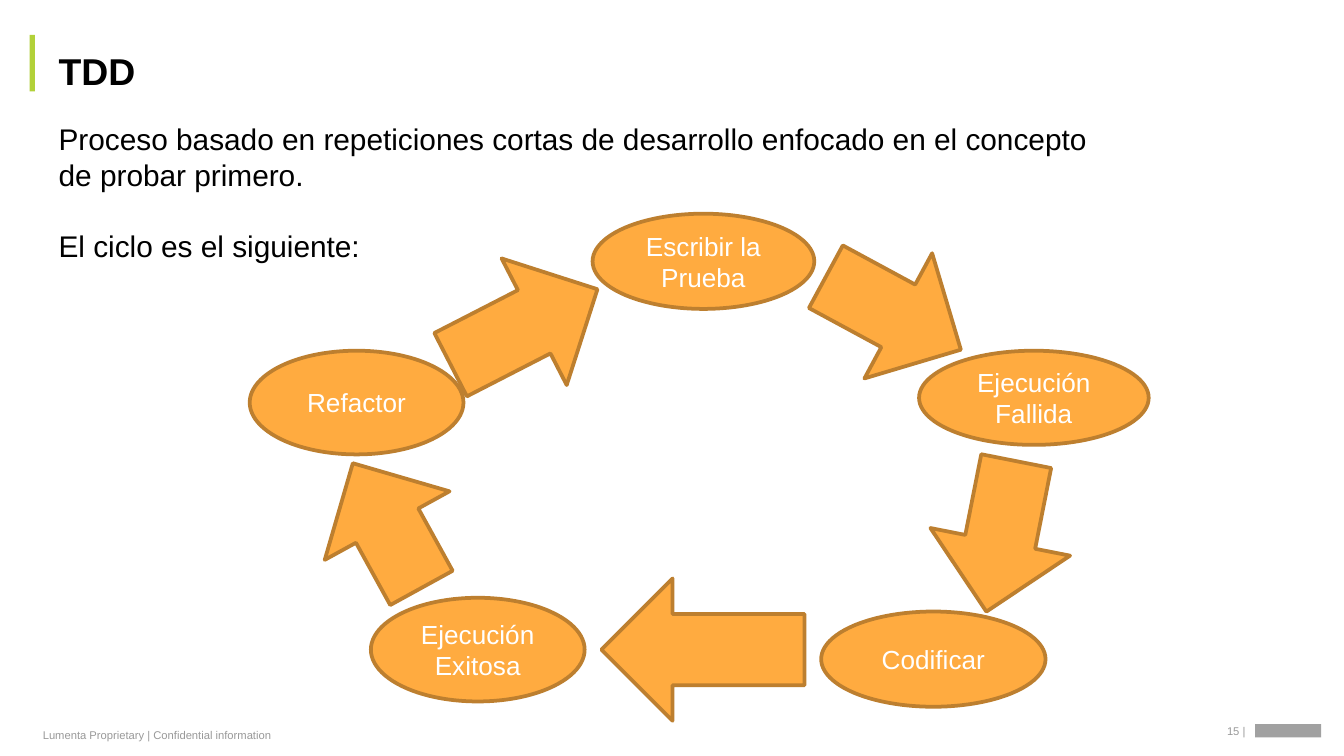
"""Builds the TDD cycle slide: heading, introduction and a ring of five steps."""
from pptx import Presentation
from pptx import util as u
from pptx.dml import color
from pptx.enum import shapes, text

COLORS = {
    "accent": "B2D139",
    "step": "FFAB40",
    "border": "BD7F2F",
    "dark": "000000",
    "light": "FFFFFF",
    "footer": "999999",
    "mark": "A1A1A1",
}

STEPS = [
    ("Escribir la Prueba", 11.2, 4.04, 4.19, 1.8),
    ("Ejecución Fallida", 17.37, 6.63, 4.34, 1.78),
    ("Codificar", 15.52, 11.56, 4.24, 1.8),
    ("Ejecución Exitosa", 7.01, 11.3, 4.04, 1.96),
    ("Refactor", 4.72, 6.63, 4.04, 1.96),
]

ARROW_WIDTH = 2.69
ARROWS = [
    (15.54, 4.47, 2.9, 298.4),
    (17.58, 8.69, 2.9, 11.2),
    (11.94, 10.36, 3.84, 90),
    (5.97, 8.59, 2.69, 151.2),
    (8.56, 4.62, 3.12, 242.8),
]


def rgb(name):
    return color.RGBColor.from_string(COLORS[name])


def style(paragraph, size, ink, bold=False):
    paragraph.font.name = "Arial"
    paragraph.font.size = u.Pt(size)
    paragraph.font.bold = bold
    paragraph.font.color.rgb = rgb(ink)


def add_figure(slide, preset, box, fill, border=None):
    figure = slide.shapes.add_shape(preset, *map(u.Cm, box))
    figure.shadow.inherit = False
    figure.fill.solid()
    figure.fill.fore_color.rgb = rgb(fill)
    if border:
        figure.line.color.rgb = rgb(border)
        figure.line.width = u.Pt(2)
    else:
        figure.line.fill.background()
    return figure


def add_text(slide, lines, box, size, ink="dark", bold=False, gap=0,
             anchor=text.MSO_ANCHOR.TOP):
    frame = slide.shapes.add_textbox(*map(u.Cm, box)).text_frame
    frame.word_wrap = True
    frame.vertical_anchor = anchor
    frame.margin_left = frame.margin_right = u.Cm(0.25)
    frame.margin_top = frame.margin_bottom = u.Cm(0.25)
    frame.text = "\n".join(lines)
    for paragraph in frame.paragraphs:
        style(paragraph, size, ink, bold)
    for paragraph in frame.paragraphs[1:]:
        paragraph.space_before = u.Pt(gap)


def add_step(slide, label, *box):
    step = add_figure(slide, shapes.MSO_SHAPE.OVAL, box, "step", "border")
    frame = step.text_frame
    frame.word_wrap = True
    frame.vertical_anchor = text.MSO_ANCHOR.MIDDLE
    frame.text = label
    caption = frame.paragraphs[0]
    caption.alignment = text.PP_ALIGN.CENTER
    style(caption, 14, "light")


def add_arrow(slide, left, top, length, angle):
    arrow = add_figure(slide, shapes.MSO_SHAPE.DOWN_ARROW,
                       (left, top, ARROW_WIDTH, length), "step", "border")
    arrow.rotation = angle


def add_footer(slide):
    middle = text.MSO_ANCHOR.MIDDLE
    add_text(slide, ["Lumenta Proprietary | Confidential information"],
             (0.56, 13.69, 5.74, 0.41), 6, "footer", anchor=middle)
    add_text(slide, ["15 |"], (22.94, 13.61, 1.47, 0.43), 6, "footer",
             anchor=middle)
    add_figure(slide, shapes.MSO_SHAPE.RECTANGLE,
               (23.72, 13.69, 1.25, 0.25), "mark")


def main():
    deck = Presentation()
    deck.slide_width, deck.slide_height = u.Cm(25.4), u.Cm(14.29)
    slide = deck.slides.add_slide(deck.slide_layouts[6])

    add_footer(slide)
    add_figure(slide, shapes.MSO_SHAPE.RECTANGLE,
               (0.56, 0.66, 0.1, 1.07), "accent")
    add_text(slide, ["Proceso basado en repeticiones cortas de desarrollo "
                     "enfocado en el concepto de probar primero.",
                     "El ciclo es el siguiente:"],
             (0.86, 2.03, 20.4, 5.31), 16, gap=19)
    add_text(slide, ["TDD"], (0.86, 0.66, 11.84, 1.37), 20, bold=True)
    for step in STEPS:
        add_step(slide, *step)
    for arrow in ARROWS:
        add_arrow(slide, *arrow)

    deck.save("out.pptx")


if __name__ == "__main__":
    main()
